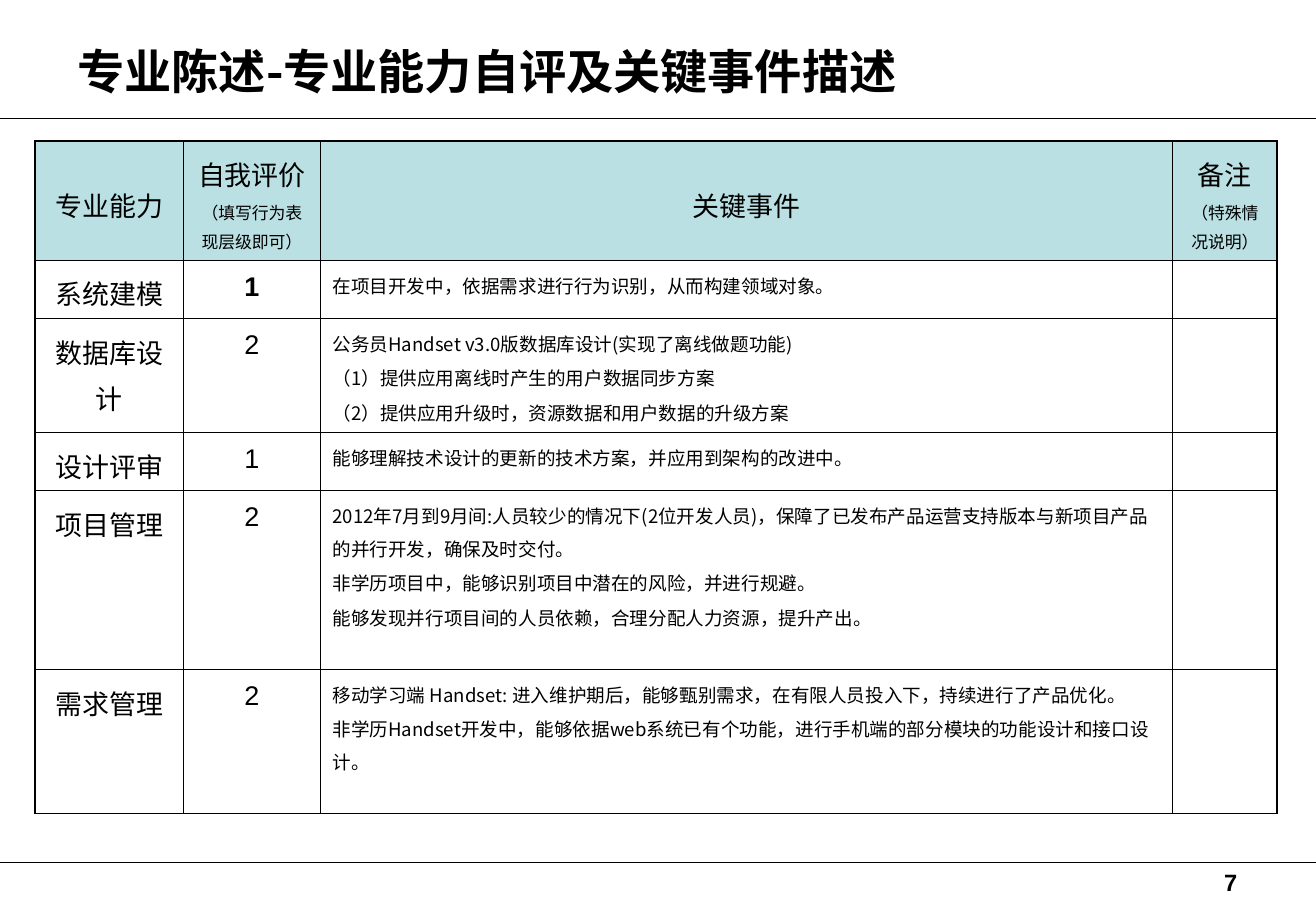
from lxml.etree import SubElement
from pptx import Presentation
from pptx.dml.color import RGBColor
from pptx.enum.shapes import MSO_CONNECTOR
from pptx.enum.text import MSO_ANCHOR, PP_ALIGN
from pptx.oxml.ns import qn
from pptx.util import Inches, Pt

BLACK = RGBColor(0x00, 0x00, 0x00)
TEAL = RGBColor(0xBB, 0xE0, 0xE3)
SANS, HAN = "Arial", "Noto Sans CJK SC"
THICK, THIN = Pt(1.08), Pt(0.45)

widths = [1.22, 1.13, 7.02, 0.86]
heights = [0.98, 0.48, 0.94, 0.48, 1.47, 1.19]
heads = [["专业能力"], ["自我评价", "（填写行为表现层级即可）"],
         ["关键事件"], ["备注", "（特殊情况说明）"]]
skills = [
    ("系统建模", "1", ["在项目开发中，依据需求进行行为识别，从而构建领域对象。"]),
    ("数据库设计", "2", [
        "公务员Handset v3.0版数据库设计(实现了离线做题功能)",
        "（1）提供应用离线时产生的用户数据同步方案",
        "（2）提供应用升级时，资源数据和用户数据的升级方案"]),
    ("设计评审", "1", ["能够理解技术设计的更新的技术方案，并应用到架构的改进中。"]),
    ("项目管理", "2", [
        "2012年7月到9月间:人员较少的情况下(2位开发人员)，保障了已发布产品运营支持版本"
        "与新项目产品的并行开发，确保及时交付。",
        "非学历项目中，能够识别项目中潜在的风险，并进行规避。",
        "能够发现并行项目间的人员依赖，合理分配人力资源，提升产出。"]),
    ("需求管理", "2", [
        "移动学习端 Handset: 进入维护期后，能够甄别需求，在有限人员投入下，持续进行了产品优化。",
        "非学历Handset开发中，能够依据web系统已有个功能，进行手机端的部分模块的功能设计和接口设计。"]),
]


def write(para, text, size, name, bold=False, align=PP_ALIGN.LEFT):
    para.text = text
    para.alignment = align
    font = para.font
    font.size, font.name, font.bold = Pt(size), name, bold
    font.color.rgb = BLACK


def border(cell, sides):
    """Draw the cell's edges; sides maps L, R, T and B to line widths."""
    props = cell._tc.get_or_add_tcPr()
    for side, width in sides.items():
        line = SubElement(props, qn("a:ln" + side), w=str(int(width)))
        fill = SubElement(line, qn("a:solidFill"))
        SubElement(fill, qn("a:srgbClr"), val=str(BLACK))


deck = Presentation()
deck.slide_width, deck.slide_height = Inches(10.84), Inches(7.5)
slide = deck.slides.add_slide(deck.slide_layouts[6])

for y in (0.97, 7.1):
    rule = slide.shapes.add_connector(
        MSO_CONNECTOR.STRAIGHT, 0, Inches(y), Inches(10.84), Inches(y))
    rule.line.color.rgb = BLACK
    rule.line.width = Pt(0.25)
    SubElement(rule._element.spPr, qn("a:effectLst"))

labels = [
    ((0.54, 0.3, 9.75, 1.25), "专业陈述-专业能力自评及关键事件描述", 28, HAN, PP_ALIGN.LEFT),
    ((9.67, 7.1, 0.62, 0.34), "7", 14, SANS, PP_ALIGN.RIGHT),
]
for place, text, size, name, align in labels:
    box = slide.shapes.add_textbox(*[Inches(n) for n in place])
    box.text_frame.word_wrap = True
    write(box.text_frame.paragraphs[0], text, size, name, True, align)

frame = slide.shapes.add_table(
    len(heights), len(widths), Inches(0.29), Inches(1.16),
    Inches(sum(widths)), Inches(sum(heights)))
table = frame.table
for col, width in zip(table.columns, widths):
    col.width = Inches(width)
for row, height in zip(table.rows, heights):
    row.height = Inches(height)

rows = [heads] + [[[skill], [level], events, []] for skill, level, events in skills]
last, end = len(rows) - 1, len(widths) - 1
for r, row in enumerate(rows):
    for c, lines in enumerate(row):
        cell = table.cell(r, c)
        border(cell, {"L": THICK if c == 0 else THIN,
                      "R": THICK if c == end else THIN,
                      "T": THICK if r == 0 else THIN,
                      "B": THICK if r == last else THIN})
        if r == 0:
            cell.fill.solid()
            cell.fill.fore_color.rgb = TEAL
            cell.vertical_anchor = MSO_ANCHOR.MIDDLE
        else:
            cell.fill.background()
        event = r > 0 and c == 2
        name = SANS if r == 0 or c == 1 else HAN
        align = PP_ALIGN.LEFT if event else PP_ALIGN.CENTER
        for i, text in enumerate(lines):
            body = cell.text_frame
            para = body.add_paragraph() if i else body.paragraphs[0]
            size, gap = (11, 1.4) if event else (10, 1.2) if i else (16, 2)
            write(para, text, size, name, (r, c) == (1, 1), align)
            para.line_spacing = 1.2
            para.space_before = Pt(gap)

deck.save("out.pptx")
